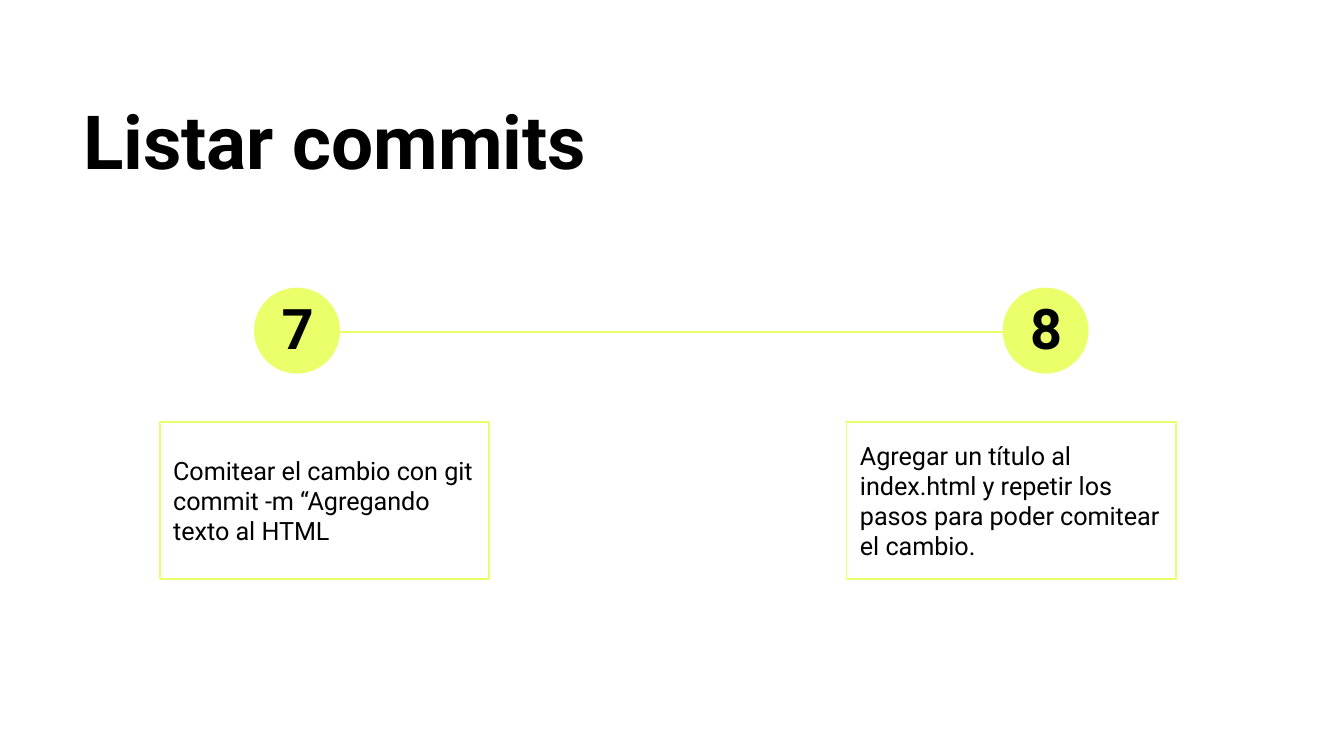
from pptx import Presentation
from pptx.dml.color import RGBColor as RGB
from pptx.enum.shapes import MSO_CONNECTOR as Conn, MSO_SHAPE as Shape
from pptx.enum.text import MSO_ANCHOR as Anchor, MSO_AUTO_SIZE as Auto, PP_ALIGN as Align
from pptx.oxml.ns import qn
from pptx.util import Inches, Pt

COLORS = {"lime": "EAFF6A", "ink": "000000", "paper": "FFFFFF"}
FONT = "Roboto"
WIDTH = 10
DOT = 0.64
DOT_TOP = 2.14
BOX_TOP, BOX_W, BOX_H = 3.14, 2.45, 1.17

# number, left of circle, left of box, text of box
STEPS = [
    ("7", 1.89, 1.19, "Comitear el cambio con git commit -m “Agregando texto al HTML"),
    ("8", 7.46, 6.3, "Agregar un título al index.html y repetir los pasos "
                     "para poder comitear el cambio."),
]


def color(name):
    return RGB.from_string(COLORS[name])


def write(shape, text, size=13.5, bold=False, align=Align.LEFT,
          anchor=Anchor.TOP, space=1.0, fit=Auto.NONE):
    frame = shape.text_frame
    frame.word_wrap = True
    frame.auto_size = fit
    frame.vertical_anchor = anchor
    frame.margin_left = frame.margin_right = Inches(0.1)
    frame.margin_top = frame.margin_bottom = Inches(0.1)
    para = frame.paragraphs[0]
    para.alignment = align
    para.line_spacing = space
    run = para.add_run()
    run.text = text
    run.font.name = FONT
    run.font.size = Pt(size)
    run.font.bold = bold
    run.font.color.rgb = color("ink")


def add_label(slide, left, top, width, height, text, size, align=Align.LEFT):
    label = slide.shapes.add_textbox(
        Inches(left), Inches(top), Inches(width), Inches(height))
    write(label, text, size=size, bold=True, align=align, space=0.9,
          fit=Auto.SHAPE_TO_FIT_TEXT)


def add_dot(slide, left):
    dot = slide.shapes.add_shape(
        Shape.OVAL, Inches(left), Inches(DOT_TOP), Inches(DOT), Inches(DOT))
    dot.shadow.inherit = False
    dot.fill.solid()
    dot.fill.fore_color.rgb = color("lime")
    dot.line.fill.background()


def add_line(slide, start, end, y):
    line = slide.shapes.add_connector(
        Conn.STRAIGHT, Inches(start), Inches(y), Inches(end), Inches(y))
    line.line.color.rgb = color("lime")
    line.line.width = Pt(0.75)
    props = line._element.spPr
    props.append(props.makeelement(qn("a:effectLst"), {}))


def add_box(slide, left, text):
    box = slide.shapes.add_shape(
        Shape.RECTANGLE, Inches(left), Inches(BOX_TOP), Inches(BOX_W), Inches(BOX_H))
    box.shadow.inherit = False
    box.fill.background()
    box.line.color.rgb = color("lime")
    box.line.width = Pt(0.75)
    write(box, text, anchor=Anchor.MIDDLE)


def main():
    deck = Presentation()
    # Widescreen, 16:9
    deck.slide_width, deck.slide_height = Inches(WIDTH), Inches(WIDTH * 9 / 16)
    slide = deck.slides.add_slide(deck.slide_layouts[6])
    slide.background.fill.solid()
    slide.background.fill.fore_color.rgb = color("paper")

    # Title
    add_label(slide, 0.52, 0.68, 8.9, 0.81, "Listar commits", 40)

    # Circles and the line between them
    for _, left, _, _ in STEPS:
        add_dot(slide, left)
    add_line(slide, STEPS[0][1] + DOT, STEPS[1][1] + 0.1, 2.47)

    # Numbers and text boxes
    for number, left, box_left, text in STEPS:
        add_label(slide, left + 0.1, DOT_TOP, 0.45, 0.66, number, 30, Align.CENTER)
        add_box(slide, box_left, text)

    deck.save("out.pptx")


if __name__ == "__main__":
    main()
